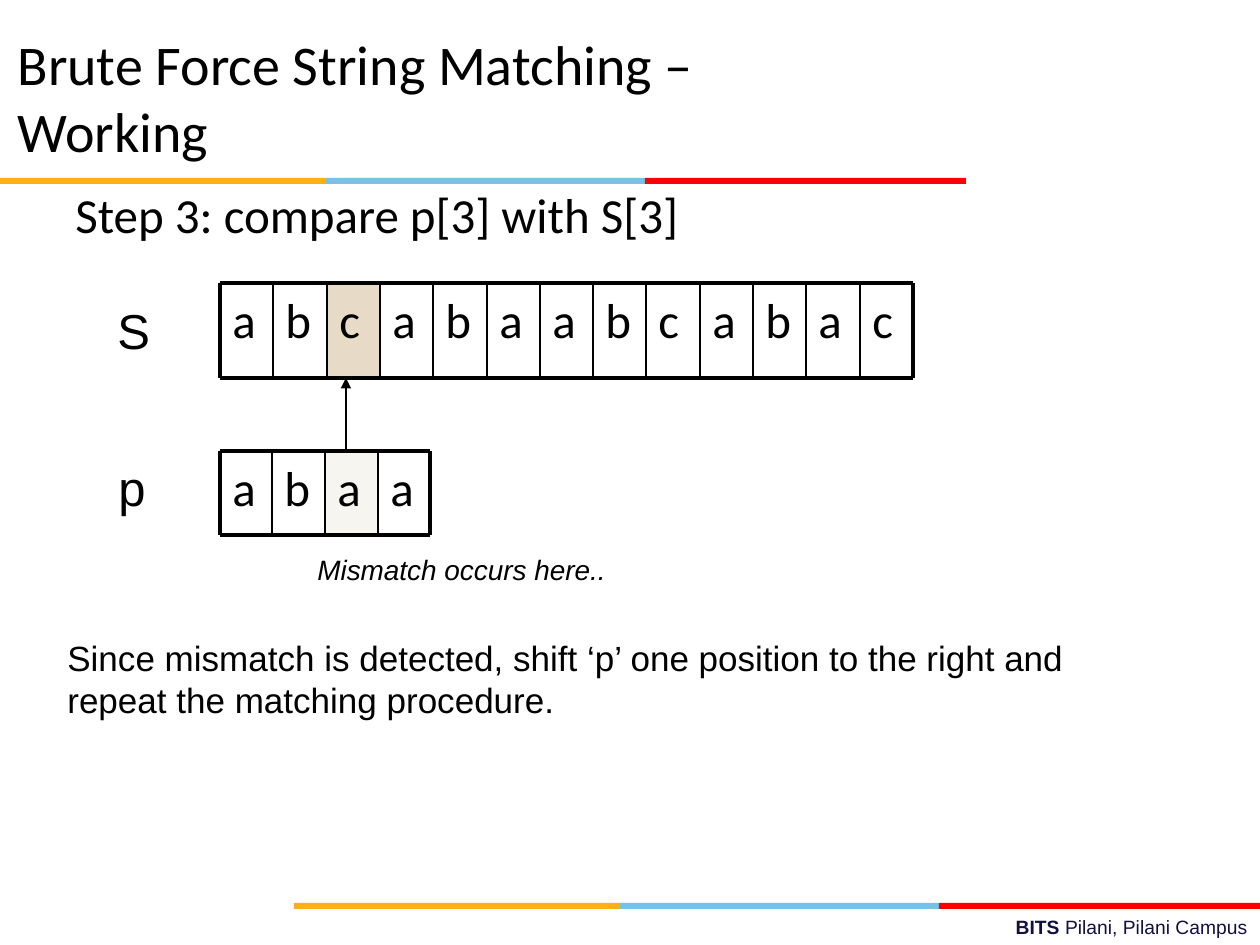
from dataclasses import dataclass

from lxml import etree
from pptx import Presentation
from pptx.dml.color import RGBColor
from pptx.enum.shapes import MSO_CONNECTOR, MSO_SHAPE
from pptx.enum.text import MSO_ANCHOR, PP_ALIGN
from pptx.oxml.ns import qn
from pptx.util import Pt

RECT = MSO_SHAPE.RECTANGLE
STRAIGHT = MSO_CONNECTOR.STRAIGHT
TOP, MIDDLE = MSO_ANCHOR.TOP, MSO_ANCHOR.MIDDLE
LEFT, RIGHT = PP_ALIGN.LEFT, PP_ALIGN.RIGHT
PX = 914400 / 126


@dataclass(frozen=True)
class Theme:
    ink: str = "000000"
    navy: str = "101141"
    bars: tuple = ("FCB017", "76C2E5", "FF0000")
    text_match: str = "D1B893"
    pattern_match: str = "EEECE1"
    heading: str = "Calibri"
    body: str = "Arial"
    title_size: int = 32
    large_size: int = 28
    note_size: int = 20
    caption_size: int = 16
    footer_size: int = 11


theme = Theme()
prs = Presentation()
prs.slide_width, prs.slide_height = round(1260 * PX), round(945 * PX)
slide = prs.slides.add_slide(prs.slide_layouts[5])
shapes = slide.shapes


def add_text(box, lines, size, font, fill=None, wrap=True):
    """Add a text box, or a half-transparent rectangle when fill is given."""
    place = [round(v * PX) for v in box]
    if fill:
        s = shapes.add_shape(RECT, *place)
        s.shadow.inherit = False
        s.line.fill.background()
        s.fill.solid()
        s.fill.fore_color.rgb = RGBColor.from_string(fill)
        color = s.fill._xPr.find(".//" + qn("a:srgbClr"))
        etree.SubElement(color, qn("a:alpha"), val="50000")
    else:
        s = shapes.add_textbox(*place)
    tf = s.text_frame
    tf.word_wrap = wrap
    tf.vertical_anchor = TOP
    tf.text = "\n".join(lines)
    for p in tf.paragraphs:
        p.alignment = LEFT
        p.font.size = Pt(size)
        p.font.name = font
        p.font.color.rgb = RGBColor.from_string(theme.ink)
    return s


def add_line(x1, y1, x2, y2, width):
    s = shapes.add_connector(STRAIGHT, *[round(v * PX) for v in (x1, y1, x2, y2)])
    s.line.width = Pt(width)
    s.line.color.rgb = RGBColor.from_string(theme.ink)
    etree.SubElement(s._element.spPr, qn("a:effectLst"))
    return s


# Three-colour rules under the title and above the footer
for left, top in ((0, 178), (294, 903)):
    for start, end, color in zip((0, 326, 645), (326, 645, 966), theme.bars):
        s = shapes.add_shape(RECT, *[round(v * PX) for v in (left + start, top, end - start, 6)])
        s.shadow.inherit = False
        s.fill.solid()
        s.fill.fore_color.rgb = RGBColor.from_string(color)
        s.line.fill.background()

# Title
title = shapes.title
title.left, title.top, title.width, title.height = [round(v * PX) for v in (5, 18, 1134, 157)]
tf = title.text_frame
tf.word_wrap = True
tf.vertical_anchor = MIDDLE
tf.text = "Brute Force String Matching – \vWorking"
p = tf.paragraphs[0]
p.alignment = LEFT
p.font.size = Pt(theme.title_size)
p.font.name = theme.heading
p.font.color.rgb = RGBColor.from_string(theme.ink)

# Step and explanation
add_text((63, 178, 1134, 72), ["Step 3: compare p[3] with S[3]"],
         theme.large_size, theme.heading)
add_text((55, 630, 1033, 97),
         ["Since mismatch is detected, shift ‘p’ one position to the right and",
          "repeat the matching procedure."],
         theme.note_size, theme.body, wrap=False)

# Text and pattern strips, with the compared cell shaded
strips = (
    ("S", "abcabaabcabac", 283, 95, 693, theme.text_match, (105, 294, 58, 72)),
    ("p", "abaa", 451, 84, 210, theme.pattern_match, (106, 451, 52, 72)),
)
strip_left, compared = 220, 2
for name, letters, top, height, width, shade, label_box in strips:
    add_text(label_box, [name], theme.large_size, theme.body, wrap=False)
    count = len(letters)
    edges = [strip_left + round(i * width / count) for i in range(count + 1)]
    for i, letter in enumerate(letters):
        add_text((edges[i], top, edges[i + 1] - edges[i], height), [letter],
                 theme.large_size, theme.heading, fill=shade if i == compared else None)
    for x in edges:
        add_line(x, top, x, top + height, 2.25 if x in (edges[0], edges[-1]) else 1)
    for y in (top, top + height):
        add_line(edges[0], y, edges[-1], y, 2.25)

# Comparison arrow and caption
arrow = add_line(346, 451, 346, 378, 0.75)
etree.SubElement(arrow.line._get_or_add_ln(), qn("a:tailEnd"), type="triangle")
s = add_text((305, 546, 314, 47), ["Mismatch occurs here.."],
             theme.caption_size, theme.body, wrap=False)
s.text_frame.paragraphs[0].font.italic = True

# Footer
s = add_text((451, 909, 809, 36), ["BITS "], theme.footer_size, theme.body)
p = s.text_frame.paragraphs[0]
p.alignment = RIGHT
p.font.color.rgb = RGBColor.from_string(theme.navy)
p.runs[0].font.bold = True
r = p.add_run()
r.text = "Pilani, Pilani Campus"

prs.save("out.pptx")
